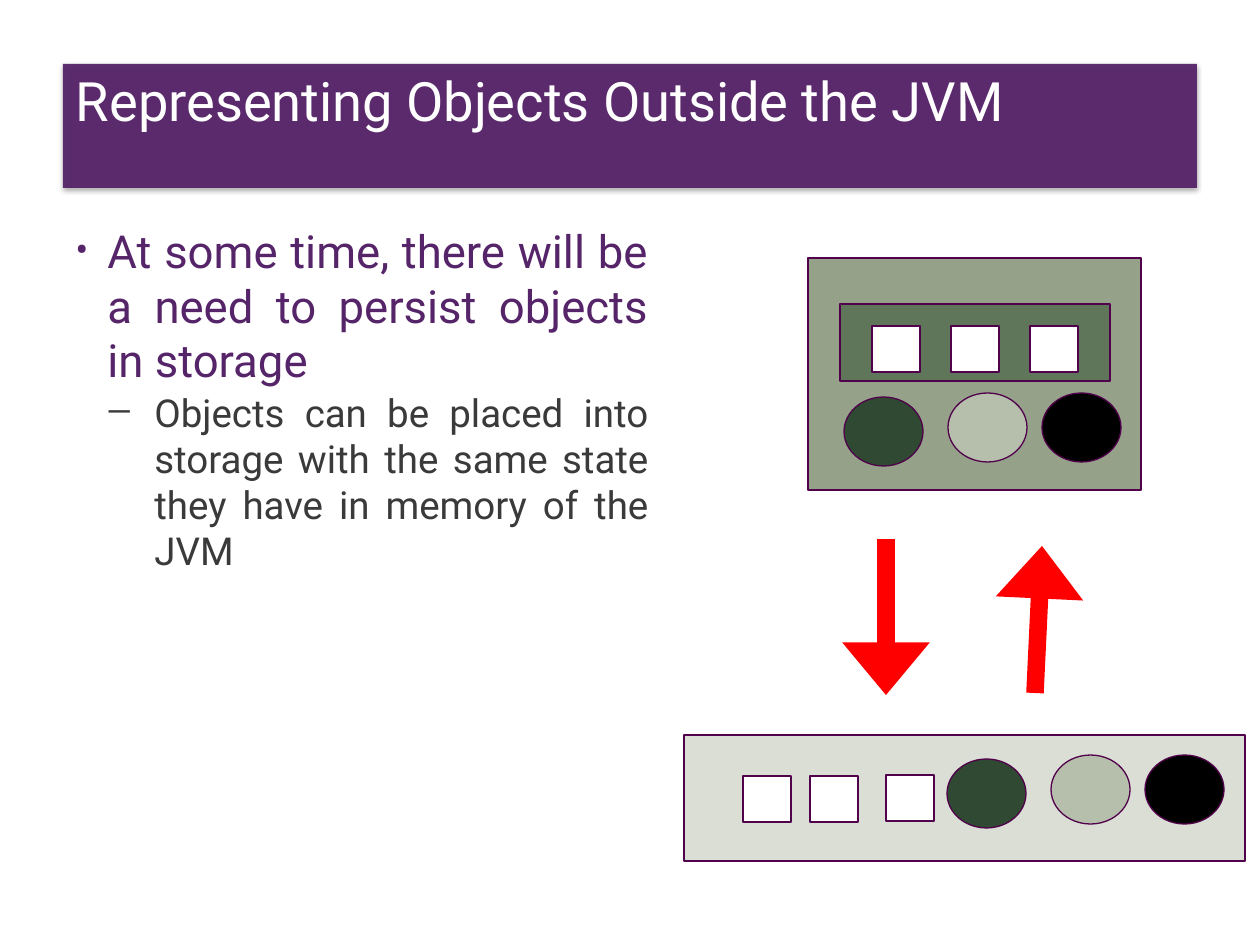
from lxml import etree
from pptx import Presentation
from pptx.dml.color import RGBColor
from pptx.enum.shapes import MSO_CONNECTOR, MSO_SHAPE
from pptx.enum.text import MSO_ANCHOR, PP_ALIGN
from pptx.oxml.ns import qn
from pptx.util import Pt

EMU_PER_PX = 914400 / 126
FONT = "Roboto"

RECTANGLE = MSO_SHAPE.RECTANGLE
OVAL = MSO_SHAPE.OVAL
STRAIGHT = MSO_CONNECTOR.STRAIGHT
TOP = MSO_ANCHOR.TOP
LEFT = PP_ALIGN.LEFT
JUSTIFY = PP_ALIGN.JUSTIFY

PURPLE = RGBColor(0x56, 0x24, 0x69)
OUTLINE = RGBColor(0x51, 0x00, 0x4B)
GREY = RGBColor(0x3A, 0x3A, 0x3A)
WHITE = RGBColor(0xFF, 0xFF, 0xFF)
BLACK = RGBColor(0x00, 0x00, 0x00)
RED = RGBColor(0xFF, 0x00, 0x00)
SAGE = RGBColor(0x95, 0xA2, 0x89)
MOSS = RGBColor(0x60, 0x76, 0x5B)
FOREST = RGBColor(0x2F, 0x49, 0x32)
PALE = RGBColor(0xB6, 0xBF, 0xAC)


def px(length):
    return round(length * EMU_PER_PX)


def add_child(parent, tag, **attributes):
    child = etree.SubElement(parent, qn(tag))
    for name, value in attributes.items():
        child.set(name, str(value))
    return child


def set_opacity(shape, percent):
    color = shape.fill._xPr.find(qn("a:solidFill"))[0]
    add_child(color, "a:alpha", val=percent * 1000)


def add_figure(page, kind, left, top, width, height, color, outlined=True):
    shape = page.shapes.add_shape(kind, px(left), px(top), px(width), px(height))
    shape.shadow.inherit = False
    shape.fill.solid()
    shape.fill.fore_color.rgb = color
    if outlined:
        shape.line.color.rgb = OUTLINE
        shape.line.width = Pt(0.75)
    else:
        shape.line.fill.background()
    return shape


def style_runs(para, size, color):
    for span in para.runs:
        span.font.name = FONT
        span.font.size = Pt(size)
        span.font.color.rgb = color


def add_title(page, text):
    box = add_figure(page, RECTANGLE, 63, 64, 1134, 124, PURPLE, outlined=False)
    set_opacity(box, 95)
    effects = box._element.spPr.find(qn("a:effectLst"))
    shadow = add_child(effects, "a:outerShdw", blurRad=px(5), dist=px(2),
                       dir=5400000, rotWithShape=0)
    shadow_color = add_child(shadow, "a:srgbClr", val="000000")
    add_child(shadow_color, "a:alpha", val=35000)

    frame = box.text_frame
    frame.word_wrap = True
    frame.vertical_anchor = TOP
    frame.margin_left = frame.margin_right = px(13)
    frame.margin_top = 0
    frame.margin_bottom = px(6)
    para = frame.paragraphs[0]
    para.text = text
    para.alignment = LEFT
    para.line_spacing = 1.05
    style_runs(para, 31, WHITE)


def format_bullet(para, character, indent, hanging, space_percent):
    properties = para._p.get_or_add_pPr()
    properties.set("marL", str(px(indent)))
    properties.set("indent", str(-px(hanging)))
    space = add_child(properties, "a:spcBef")
    add_child(space, "a:spcPct", val=space_percent * 1000)
    add_child(properties, "a:buSzPct", val=85000)
    add_child(properties, "a:buFont", typeface=FONT)
    add_child(properties, "a:buChar", char=character)


def add_body(page):
    box = page.shapes.add_textbox(px(63), px(217), px(598), px(696))
    frame = box.text_frame
    frame.word_wrap = True

    point = frame.paragraphs[0]
    point.text = "At some time, there will be a need to persist objects in storage"
    format_bullet(point, "•", 32, 32, 25)
    style_runs(point, 26, PURPLE)

    detail = frame.add_paragraph()
    detail.text = ("Objects can be placed into storage with the same state "
                   "they have in memory of the JVM")
    detail.level = 1
    format_bullet(detail, "—", 79, 48, 5)
    style_runs(detail, 22, GREY)

    for para in frame.paragraphs:
        para.alignment = JUSTIFY


def add_squares(page, positions):
    for left, top in positions:
        add_figure(page, RECTANGLE, left, top, 48, 46, WHITE)


def add_ovals(page, left, top):
    """Draw the three object ovals; the first sits slightly lower."""
    for across, down, color in ((0, 4, FOREST), (104, 0, PALE), (198, 0, BLACK)):
        add_figure(page, OVAL, left + across, top + down, 79, 69, color)


def add_arrow(page, start, end):
    arrow = page.shapes.add_connector(STRAIGHT, *map(px, start + end))
    arrow.line.color.rgb = RED
    arrow.line.width = Pt(10)
    line = arrow.line._get_or_add_ln()
    add_child(line, "a:tailEnd", type="triangle", w="lg", len="med")
    add_child(arrow._element.spPr, "a:effectLst")


def main():
    deck = Presentation()
    deck.slide_width, deck.slide_height = px(1260), px(945)
    page = deck.slides.add_slide(deck.slide_layouts[6])

    storage = add_figure(page, RECTANGLE, 684, 735, 561, 126, PALE)
    set_opacity(storage, 50)
    add_title(page, "Representing Objects Outside the JVM")
    add_body(page)

    add_figure(page, RECTANGLE, 808, 258, 333, 232, SAGE)
    add_figure(page, RECTANGLE, 840, 304, 270, 77, MOSS)
    add_squares(page, [(872 + 79 * column, 326) for column in range(3)])
    add_ovals(page, 844, 393)

    add_squares(page, [(743, 776), (810, 776), (886, 775)])
    add_ovals(page, 947, 755)

    add_arrow(page, (886, 539), (886, 695))
    add_arrow(page, (1035, 693), (1042, 546))
    deck.save("out.pptx")


if __name__ == "__main__":
    main()
